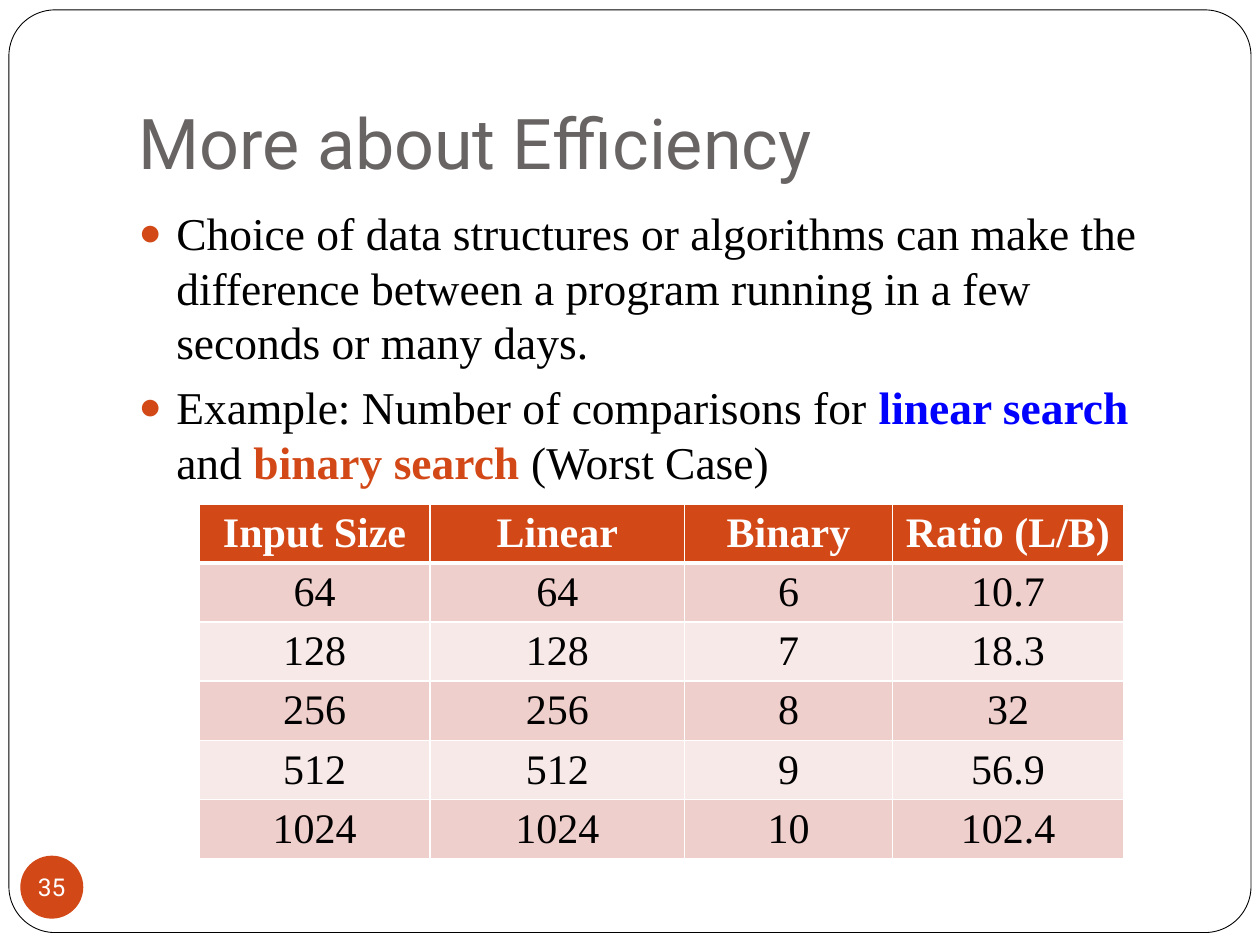
from lxml import etree
from pptx import Presentation
from pptx import util as u
from pptx.dml.color import RGBColor
from pptx.enum import shapes, text
from pptx.oxml.ns import qn

ORANGE = RGBColor(0xD3, 0x48, 0x17)
GREY = RGBColor(0x69, 0x64, 0x64)
BLUE = RGBColor(0x00, 0x00, 0xFF)
BLACK = RGBColor(0x00, 0x00, 0x00)
WHITE = RGBColor(0xFF, 0xFF, 0xFF)
BANDS = (RGBColor(0xF7, 0xE9, 0xE8), RGBColor(0xEF, 0xCF, 0xCC))
HEADING_FONT, BODY_FONT = "Roboto", "Times New Roman"

POINTS = [
    [("Choice of data structures or algorithms can make the difference "
      "between a program running in a few seconds or many days.", None)],
    [("Example: Number of comparisons for ", None), ("linear search", BLUE),
     (" and ", None), ("binary search ", ORANGE), ("(Worst Case)", None)],
]
COMPARISONS = [
    ("Input Size", "Linear", "Binary", "Ratio (L/B)"),
    ("64", "64", "6", "10.7"),
    ("128", "128", "7", "18.3"),
    ("256", "256", "8", "32"),
    ("512", "512", "9", "56.9"),
    ("1024", "1024", "10", "102.4"),
]
COLUMN_WIDTHS = (4.66, 5.13, 4.19, 4.66)


def cm_box(left, top, width, height):
    return [u.Cm(value) for value in (left, top, width, height)]


def place(shape, box):
    shape.left, shape.top, shape.width, shape.height = box


def set_font(font, name, size, color, bold=False):
    font.name, font.size, font.bold = name, u.Pt(size), bold
    font.color.rgb = color


def add_panel(page, box, preset, fill):
    panel = page.shapes.add_shape(preset, *box)
    panel.shadow.inherit = False
    panel.fill.solid()
    panel.fill.fore_color.rgb = fill
    return panel


def add_frame(page, box):
    frame = add_panel(page, box, shapes.MSO_SHAPE.ROUNDED_RECTANGLE, WHITE)
    frame.adjustments[0] = 0.05
    frame.line.color.rgb = BLACK
    frame.line.width = u.Pt(0.5)
    # Behind the placeholders
    tree = page.shapes._spTree
    tree.remove(frame._element)
    tree.insert(2, frame._element)


def add_page_number(page, box, number):
    badge = add_panel(page, box, shapes.MSO_SHAPE.OVAL, ORANGE)
    badge.line.fill.background()
    words = badge.text_frame
    words.margin_left = words.margin_right = words.margin_top = words.margin_bottom = 0
    words.word_wrap = False
    words.vertical_anchor = text.MSO_ANCHOR.MIDDLE
    para = words.paragraphs[0]
    para.text = number
    para.alignment = text.PP_ALIGN.CENTER
    set_font(para.font, HEADING_FONT, 14, WHITE)


def fill_title(page, box, words):
    title = page.shapes.title
    place(title, box)
    frame = title.text_frame
    frame.text = words
    frame.vertical_anchor = text.MSO_ANCHOR.BOTTOM
    frame.margin_bottom = u.Cm(0.25)
    para = frame.paragraphs[0]
    para.alignment = text.PP_ALIGN.LEFT
    set_font(para.font, HEADING_FONT, 40, GREY)


def add_bullet(para):
    props = para._p.get_or_add_pPr()
    props.set("marL", str(u.Cm(0.76)))
    props.set("indent", str(-u.Cm(0.76)))
    color = etree.SubElement(props, qn("a:buClr"))
    etree.SubElement(color, qn("a:srgbClr"), val=str(ORANGE))
    etree.SubElement(props, qn("a:buSzPct"), val="85000")
    etree.SubElement(props, qn("a:buChar"), char="●")


def fill_points(page, box, points):
    body = page.placeholders[1]
    place(body, box)
    frame = body.text_frame
    for index, spans in enumerate(points):
        para = frame.add_paragraph() if index else frame.paragraphs[0]
        para.space_before = u.Pt(5.8)
        add_bullet(para)
        set_font(para.font, BODY_FONT, 26, BLACK)
        for words, accent in spans:
            span = para.add_run()
            span.text = words
            if accent is not None:
                span.font.bold = True
                span.font.color.rgb = accent


def set_borders(cell, bottom):
    props = cell._tc.get_or_add_tcPr()
    widths = {"a:lnL": 1, "a:lnR": 1, "a:lnT": 1, "a:lnB": bottom}
    for index, (side, width) in enumerate(widths.items()):
        line = etree.Element(qn(side), w=str(u.Pt(width)))
        fill = etree.SubElement(line, qn("a:solidFill"))
        etree.SubElement(fill, qn("a:srgbClr"), val=str(WHITE))
        props.insert(index, line)


def add_comparison_table(page, box, rows):
    table = page.shapes.add_table(len(rows), len(rows[0]), *box).table
    for column, width in zip(table.columns, COLUMN_WIDTHS):
        column.width = u.Cm(width)
    for r, values in enumerate(rows):
        header = r == 0
        for c, value in enumerate(values):
            cell = table.cell(r, c)
            cell.fill.solid()
            cell.fill.fore_color.rgb = ORANGE if header else BANDS[r % 2]
            # The rule under the header is thicker
            set_borders(cell, 3 if header else 1)
            para = cell.text_frame.paragraphs[0]
            para.text = value
            para.alignment = text.PP_ALIGN.CENTER
            set_font(para.font, BODY_FONT, 24, WHITE if header else BLACK, header)


def main():
    deck = Presentation()
    deck.slide_width, deck.slide_height = u.Cm(25.4), u.Cm(19.05)
    page = deck.slides.add_slide(deck.slide_layouts[1])
    add_frame(page, cm_box(0.18, 0.2, 25.04, 18.6))
    fill_title(page, cm_box(2.54, 0.76, 21.59, 3.18), "More about Efficiency")
    add_page_number(page, cm_box(0.41, 17.25, 1.27, 1.27), "35")
    fill_points(page, cm_box(2.54, 4.01, 21.59, 12.7), POINTS)
    add_comparison_table(page, cm_box(4.01, 10.16, sum(COLUMN_WIDTHS), 7.14), COMPARISONS)
    deck.save("out.pptx")


if __name__ == "__main__":
    main()
